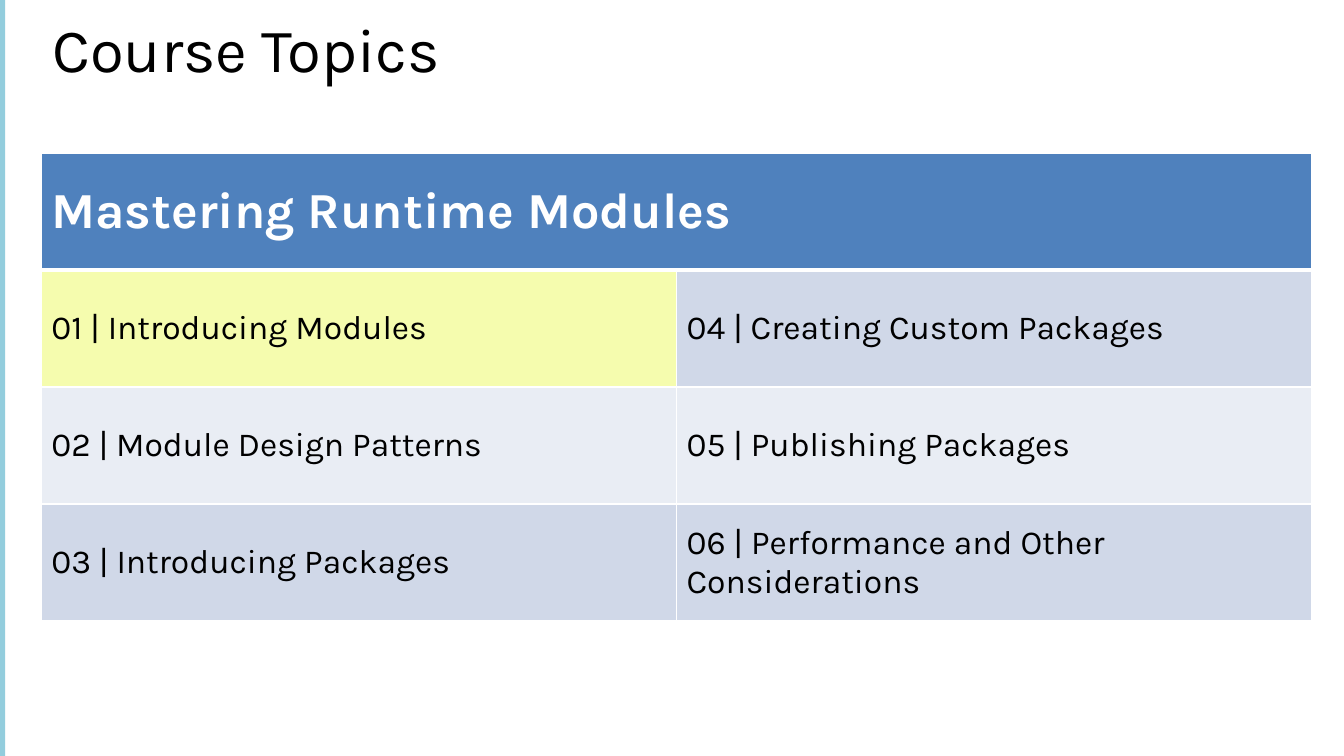
"""Build the course topics slide with its table of modules."""
from dataclasses import dataclass

from lxml import etree
from pptx import Presentation
from pptx.dml.color import RGBColor
from pptx.enum.shapes import MSO_SHAPE
from pptx.enum.text import MSO_ANCHOR, PP_ALIGN
from pptx.oxml.ns import qn
from pptx.slide import Slide
from pptx.table import _Cell
from pptx.util import Inches, Pt

RECTANGLE = MSO_SHAPE.RECTANGLE
TOP, MIDDLE = MSO_ANCHOR.TOP, MSO_ANCHOR.MIDDLE
LEFT = PP_ALIGN.LEFT
FONT = "Karla"
BLACK = RGBColor(0x00, 0x00, 0x00)
WHITE = RGBColor(0xFF, 0xFF, 0xFF)
AQUA = RGBColor(0x93, 0xCD, 0xDD)
BLUE = RGBColor(0x4F, 0x81, 0xBD)
YELLOW = RGBColor(0xF5, 0xFC, 0xAE)
DARK_BAND = RGBColor(0xD0, 0xD8, 0xE8)
LIGHT_BAND = RGBColor(0xE9, 0xED, 0xF4)
ROW_COUNT, COLUMN_COUNT = 4, 2
ROW_HEIGHT, COLUMN_WIDTH = 1.16, 6.3


@dataclass(frozen=True)
class Topic:
    number: int
    name: str
    fill: RGBColor

    @property
    def label(self) -> str:
        return f"{self.number:02d} | {self.name}"


TOPICS = [
    Topic(1, "Introducing Modules", YELLOW),
    Topic(2, "Module Design Patterns", LIGHT_BAND),
    Topic(3, "Introducing Packages", DARK_BAND),
    Topic(4, "Creating Custom Packages", DARK_BAND),
    Topic(5, "Publishing Packages", LIGHT_BAND),
    Topic(6, "Performance and Other Considerations", DARK_BAND),
]


def add_side_bar(page: Slide) -> None:
    bar = page.shapes.add_shape(RECTANGLE, 0, 0, Inches(0.05), Inches(7.5))
    bar.shadow.inherit = False
    bar.fill.solid()
    bar.fill.fore_color.rgb = AQUA
    bar.line.fill.background()


def format_title(page: Slide) -> None:
    title = page.shapes.title
    title.left, title.top = Inches(0.42), Inches(0.2)
    title.width, title.height = Inches(12.6), Inches(1.16)
    title.text_frame.text = "Course Topics"
    title.text_frame.vertical_anchor = TOP
    para = title.text_frame.paragraphs[0]
    para.alignment = LEFT
    para.line_spacing = 0.8
    para.font.name, para.font.size = FONT, Pt(44)
    para.font.color.rgb = BLACK


def add_borders(cell: _Cell, bottom: float) -> None:
    properties = cell._tc.get_or_add_tcPr()
    widths = {"a:lnL": 1, "a:lnR": 1, "a:lnT": 1, "a:lnB": bottom}
    for position, (tag, width) in enumerate(widths.items()):
        line = etree.Element(qn(tag), w=str(Pt(width)))
        fill = etree.SubElement(line, qn("a:solidFill"))
        etree.SubElement(fill, qn("a:srgbClr"), val=str(WHITE))
        properties.insert(position, line)


def fill_cell(cell: _Cell, text: str, fill: RGBColor, color: RGBColor,
              size: float, bold: bool) -> None:
    cell.text = text
    cell.vertical_anchor = MIDDLE
    cell.fill.solid()
    cell.fill.fore_color.rgb = fill
    font = cell.text_frame.paragraphs[0].font
    font.name, font.size, font.bold = FONT, Pt(size), bold
    font.color.rgb = color


def add_topic_table(page: Slide) -> None:
    table = page.shapes.add_table(
        ROW_COUNT, COLUMN_COUNT, Inches(0.41), Inches(1.52),
        Inches(COLUMN_COUNT * COLUMN_WIDTH), Inches(ROW_COUNT * ROW_HEIGHT)).table
    for row in table.rows:
        row.height = Inches(ROW_HEIGHT)
    for column in table.columns:
        column.width = Inches(COLUMN_WIDTH)
    header = table.cell(0, 0)
    header.merge(table.cell(0, COLUMN_COUNT - 1))
    fill_cell(header, "Mastering Runtime Modules", BLUE, WHITE, 36, True)
    for column in range(COLUMN_COUNT):
        add_borders(table.cell(0, column), bottom=3)
    for index, topic in enumerate(TOPICS):
        column, row = divmod(index, ROW_COUNT - 1)
        cell = table.cell(row + 1, column)
        fill_cell(cell, topic.label, topic.fill, BLACK, 24, False)
        add_borders(cell, bottom=1)
        if row == 0:
            cell._tc.tcPr.find(qn("a:lnT")).set("w", str(Pt(3)))


def main() -> None:
    deck = Presentation()
    deck.slide_width, deck.slide_height = Inches(13.33), Inches(7.5)
    page = deck.slides.add_slide(deck.slide_layouts[5])
    add_side_bar(page)
    format_title(page)
    add_topic_table(page)
    deck.save("out.pptx")


if __name__ == "__main__":
    main()
